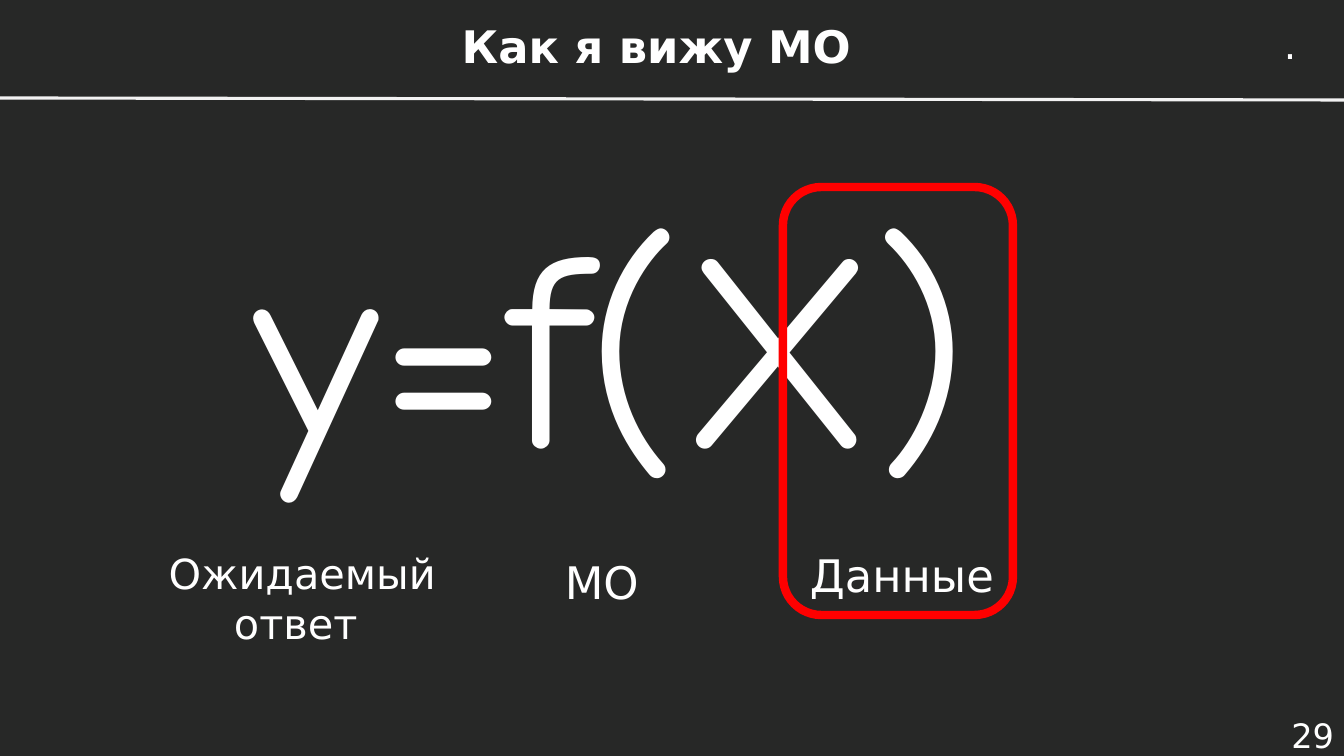
from lxml import etree
from pptx import Presentation
from pptx.dml.color import RGBColor
from pptx.enum.shapes import MSO_CONNECTOR, MSO_SHAPE
from pptx.enum.text import MSO_ANCHOR, MSO_AUTO_SIZE, PP_ALIGN
from pptx.oxml.ns import qn
from pptx.util import Pt

PX = 914400 / 100.8
COLORS = {"background": "272827", "text": "FFFFFF", "rule": "F2F2F2", "highlight": "FF0000"}


def px(*values):
    return [round(v * PX) for v in values]


def write(sp, text, size, align, anchor=MSO_ANCHOR.MIDDLE, font="DejaVu Sans", bold=False):
    tf = sp.text_frame
    tf.word_wrap = True
    tf.auto_size = MSO_AUTO_SIZE.NONE
    tf.vertical_anchor = anchor
    tf.text = text
    p = tf.paragraphs[0]
    p.alignment = align
    r = p.runs[0]
    r.font.name = font
    r.font.size = Pt(size)
    r.font.bold = bold
    r.font.color.rgb = RGBColor.from_string(COLORS["text"])
    return tf


prs = Presentation()
prs.slide_width, prs.slide_height = px(1344, 756)
slide = prs.slides.add_slide(prs.slide_layouts[5])
slide.background.fill.solid()
slide.background.fill.fore_color.rgb = RGBColor.from_string(COLORS["background"])
shapes = slide.shapes

# Title
title = shapes.title
title.left, title.top, title.width, title.height = px(220, 0, 873, 92)
write(title, "Как я вижу МО", 32, PP_ALIGN.CENTER, bold=True)

# Slide number
number = shapes.add_textbox(*px(1263, 714, 81, 42))
write(number, "29", 24, PP_ALIGN.RIGHT)

# Formula
formula = shapes.add_textbox(*px(245, 164, 885, 348))
tf = write(formula, "y=f(X)", 199, PP_ALIGN.LEFT, MSO_ANCHOR.TOP, "Comic Neue")
tf.auto_size = MSO_AUTO_SIZE.SHAPE_TO_FIT_TEXT

# Labels under the formula
labels = [
    ("МО ", 32, (474, 536, 270, 92)),
    ("Данные", 32, (767, 529, 270, 92)),
    ("Ожидаемый ответ ", 29.6, (148, 552, 309, 92)),
]
for text, size, box in labels:
    write(shapes.add_textbox(*px(*box)), text, size, PP_ALIGN.CENTER)

# Rule under the title
rule = shapes.add_connector(MSO_CONNECTOR.STRAIGHT, *px(0, 98, 1344, 100))
rule.line.color.rgb = RGBColor.from_string(COLORS["rule"])
rule.line.width = Pt(2.25)
etree.SubElement(rule._element.spPr, qn("a:effectLst"))

# Dot in the corner
dot = shapes.add_textbox(*px(1274, 15, 34, 57))
tf = write(dot, ".", 28, PP_ALIGN.LEFT, MSO_ANCHOR.TOP)
tf.word_wrap = False
tf.auto_size = MSO_AUTO_SIZE.SHAPE_TO_FIT_TEXT

# Frame around the data
frame = shapes.add_shape(MSO_SHAPE.ROUNDED_RECTANGLE, *px(783, 187, 230, 428))
frame.shadow.inherit = False
frame.fill.background()
frame.line.color.rgb = RGBColor.from_string(COLORS["highlight"])
frame.line.width = Pt(6)

prs.save("out.pptx")
